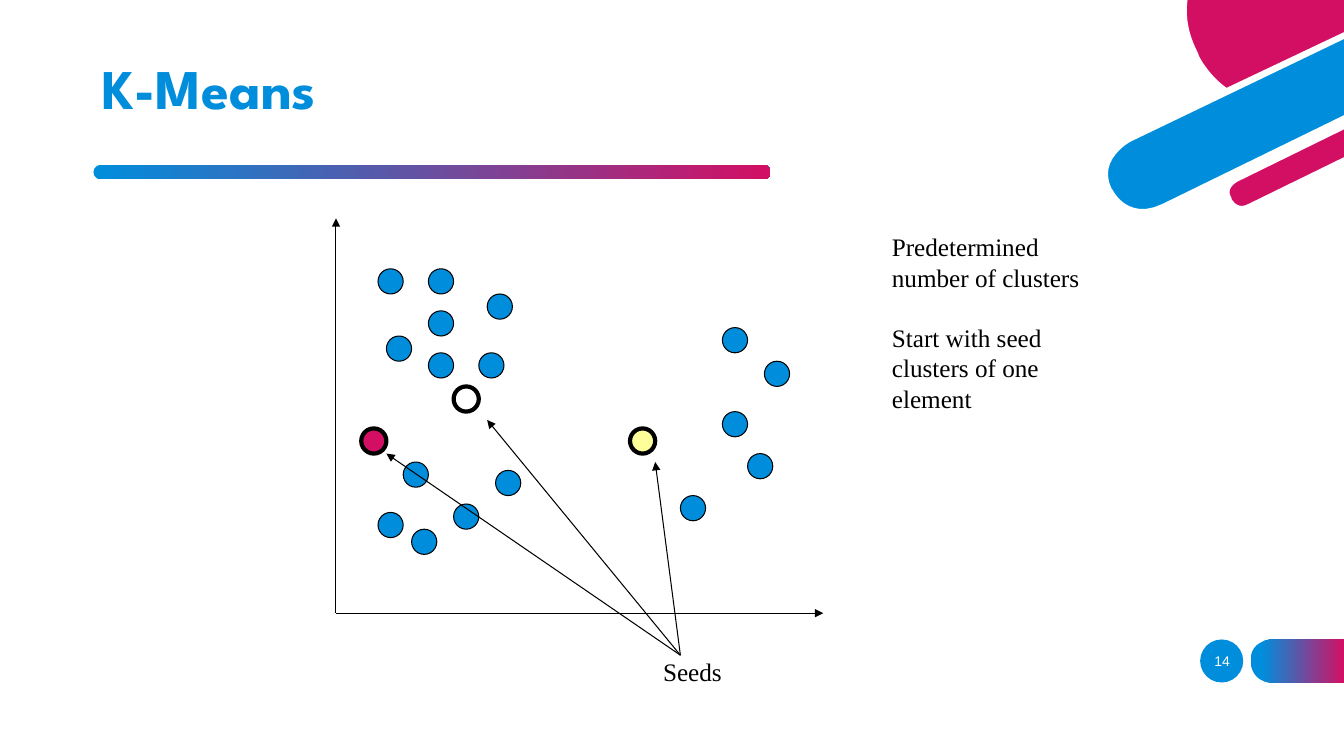
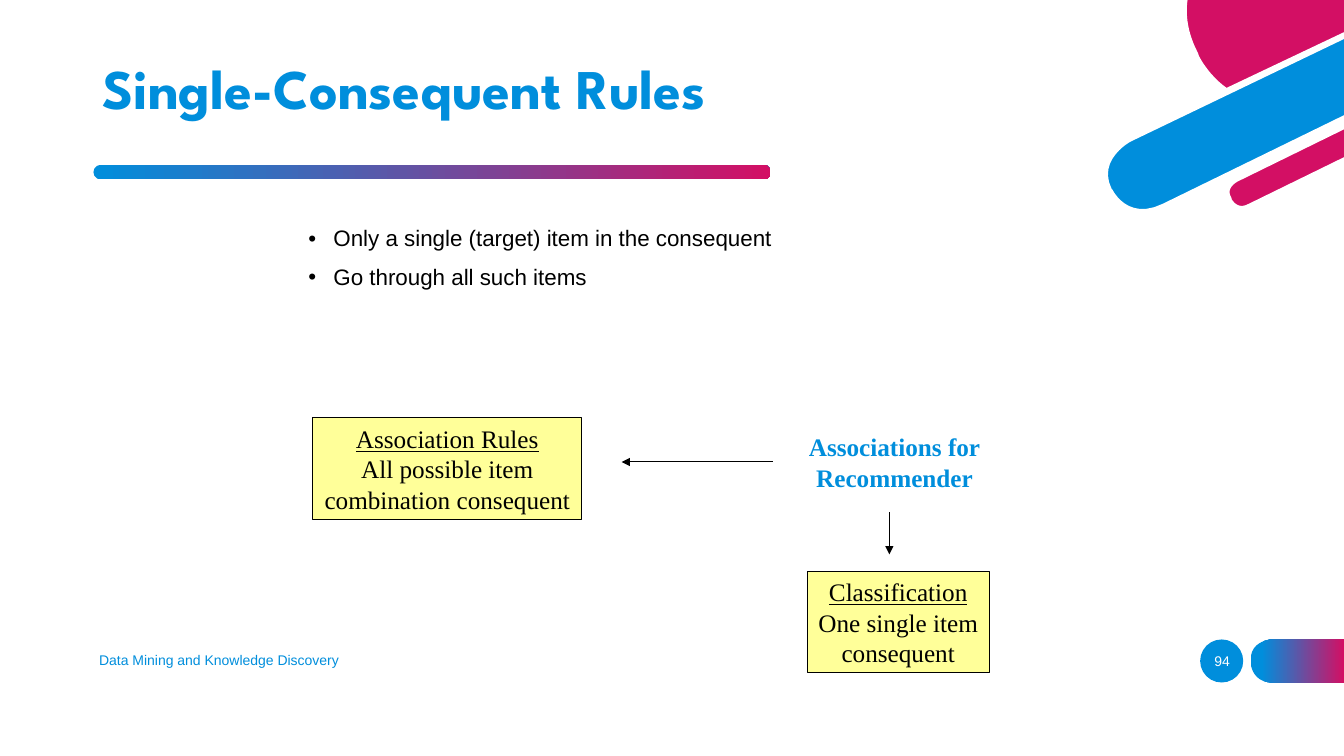
from lxml import etree
from pptx import Presentation
from pptx.dml.color import RGBColor
from pptx.enum.shapes import MSO_CONNECTOR, MSO_SHAPE
from pptx.enum.text import MSO_ANCHOR, MSO_AUTO_SIZE, PP_ALIGN
from pptx.oxml.ns import qn
from pptx.util import Emu, Pt

BLUE = RGBColor(0x00, 0x8E, 0xDC)
MAGENTA = RGBColor(0xD3, 0x0F, 0x64)
YELLOW = RGBColor(0xFF, 0xFF, 0x99)
WHITE = RGBColor(0xFF, 0xFF, 0xFF)
BLACK = RGBColor(0, 0, 0)
SANS, SERIF, DISPLAY = "Arial", "Times New Roman", "League Spartan"

STRAIGHT = MSO_CONNECTOR.STRAIGHT
OVAL, RECTANGLE, PILL = MSO_SHAPE.OVAL, MSO_SHAPE.RECTANGLE, MSO_SHAPE.ROUNDED_RECTANGLE
TOP, MIDDLE = MSO_ANCHOR.TOP, MSO_ANCHOR.MIDDLE
LEFT, CENTER = PP_ALIGN.LEFT, PP_ALIGN.CENTER
NO_AUTOFIT = MSO_AUTO_SIZE.NONE

EMU_PER_PX = 9525
CURVE_STEPS = 12
DOT = 24
TITLE_ONLY, TITLE_AND_CONTENT = 5, 1

# Outlines: a pair is a corner, three pairs are the rest of a Bezier curve.
CORNER_DISC = [(1129, -4), (1129, 0), ((1127, 14), (1129, 32), (1139, 51)), (1140, 54),
               ((1140, 54), (1149, 73), (1168, 86)), (1284, 31), (1284, -4)]
WIDE_BAND = [(1076, 133), ((1076, 133), (1042, 151), (1057, 181)), (1058, 182),
             ((1058, 182), (1073, 213), (1108, 196)), (1284, 110), (1284, 33)]
NARROW_BAND = [(1284, 119), (1178, 171), ((1178, 171), (1164, 178), (1171, 189)), (1171, 190),
               ((1171, 190), (1177, 203), (1190, 196)), (1284, 150)]
NUMBER_TAB = [(1280, 650), (1280, 609), (1212, 609), ((1212, 609), (1191, 609), (1191, 629)),
              (1191, 630), ((1191, 630), (1191, 650), (1212, 650))]

DATA_POINTS = [(360, 488), (432, 480), (384, 440), (392, 504), (472, 448), (648, 472),
               (712, 432), (688, 392), (728, 344), (688, 312), (408, 296), (360, 256),
               (368, 320), (464, 280), (408, 336), (456, 336), (408, 256)]
SEEDS = [((344, 408), MAGENTA), ((432, 368), WHITE), ((600, 408), YELLOW)]
SEED_ARROW_ENDS = [(368, 432), (464, 400), (624, 440)]
SEED_LABEL_POINT = (648, 624)


def px(*lengths):
    return [Emu(round(length * EMU_PER_PX)) for length in lengths]


def paint(shape, fill, line=None, line_width=0.75):
    shape.shadow.inherit = False
    shape.fill.solid()
    shape.fill.fore_color.rgb = fill
    if line is None:
        shape.line.fill.background()
    else:
        shape.line.color.rgb = line
        shape.line.width = Pt(line_width)


def paint_gradient(shape, start=0):
    """Blue to magenta, left to right, with the blue held up to start."""
    shape.shadow.inherit = False
    shape.line.fill.background()
    shape.fill.gradient()
    shape.fill.gradient_angle = 0
    for stop, color, position in zip(shape.fill.gradient_stops, (BLUE, MAGENTA), (start, 1)):
        stop.color.rgb = color
        stop.position = position


def add_preset(slide, preset, box, fill, line=None, line_width=0.75):
    shape = slide.shapes.add_shape(preset, *px(*box))
    paint(shape, fill, line, line_width)
    return shape


def curve_points(start, first, second, end):
    for step in range(1, CURVE_STEPS + 1):
        t = step / CURVE_STEPS
        weights = ((1 - t) ** 3, 3 * t * (1 - t) ** 2, 3 * t * t * (1 - t), t ** 3)
        corners = (start, first, second, end)
        yield tuple(sum(w * c[axis] for w, c in zip(weights, corners)) for axis in (0, 1))


def add_outline(slide, outline):
    points = [outline[0]]
    for item in outline[1:]:
        points.extend(curve_points(points[-1], *item) if len(item) == 3 else [item])
    builder = slide.shapes.build_freeform(*px(*points[0]), scale=1.0)
    builder.add_line_segments([px(*point) for point in points[1:]], close=True)
    return builder.convert_to_shape()


def add_arrow(slide, start, end):
    connector = slide.shapes.add_connector(STRAIGHT, *px(*start, *end))
    connector.line.color.rgb = BLACK
    connector.line.width = Pt(0.75)
    properties = connector.element.spPr
    etree.SubElement(properties.find(qn("a:ln")), qn("a:tailEnd"), type="triangle")
    etree.SubElement(properties, qn("a:effectLst"))


def write(shape, lines, font, size, color, align=LEFT, anchor=TOP, bold=False, wrap=True):
    """Fill the shape with one paragraph per line and return the paragraphs."""
    frame = shape.text_frame
    frame.text = "\n".join(lines)
    frame.word_wrap = wrap
    frame.auto_size = NO_AUTOFIT
    frame.vertical_anchor = anchor
    for paragraph in frame.paragraphs:
        paragraph.alignment = align
        paragraph.font.name = font
        paragraph.font.size = Pt(size)
        paragraph.font.bold = bold
        paragraph.font.color.rgb = color
    return frame.paragraphs


def add_text(slide, box, lines, font=SERIF, size=18, color=BLACK, **style):
    return write(slide.shapes.add_textbox(*px(*box)), lines, font, size, color, **style)


def add_rule_box(slide, box, lines):
    """Yellow box whose first line is an underlined heading."""
    shape = add_preset(slide, RECTANGLE, box, YELLOW, BLACK)
    paragraphs = write(shape, lines, SERIF, 18, BLACK, CENTER, MIDDLE, wrap=False)
    paragraphs[0].font.underline = True


def place(placeholder, *box):
    placeholder.left, placeholder.top, placeholder.width, placeholder.height = px(*box)


def add_decorations(slide, number):
    for outline, color in ((CORNER_DISC, MAGENTA), (WIDE_BAND, BLUE), (NARROW_BAND, MAGENTA)):
        paint(add_outline(slide, outline), color, WHITE, 3)
    title_bar = slide.shapes.add_shape(PILL, *px(89, 157, 645, 14))
    title_bar.adjustments[0] = 0.5
    paint_gradient(title_bar)
    paint_gradient(add_outline(slide, NUMBER_TAB), 0.12)
    add_preset(slide, OVAL, (1143, 609, 41, 41), BLUE)
    add_text(slide, (1135, 610, 58, 39), [str(number)], SANS, 10, WHITE,
             align=CENTER, anchor=MIDDLE)


def add_titled_slide(presentation, layout, title, number):
    slide = presentation.slides.add_slide(presentation.slide_layouts[layout])
    place(slide.shapes.title, 88, 38, 950, 99)
    paragraphs = write(slide.shapes.title, [title], DISPLAY, 40, BLUE, anchor=MIDDLE, bold=True)
    paragraphs[0].line_spacing = 0.9
    add_decorations(slide, number)
    return slide


def add_k_means_slide(presentation):
    slide = add_titled_slide(presentation, TITLE_ONLY, "K-Means", 14)
    origin = (320, 584)
    for axis_end in ((320, 208), (784, 584)):
        add_arrow(slide, origin, axis_end)
    for point in DATA_POINTS:
        add_preset(slide, OVAL, (*point, DOT, DOT), BLUE, BLACK)
    for point, color in SEEDS:
        add_preset(slide, OVAL, (*point, DOT, DOT), color, BLACK, 3)
    for end in SEED_ARROW_ENDS:
        add_arrow(slide, SEED_LABEL_POINT, end)
    add_text(slide, (622, 620, 80, 38), ["Seeds"])
    notes = add_text(slide, (840, 216, 204, 184),
                     ["Predetermined number of clusters", "Start with seed clusters of one element"])
    notes[1].space_before = Pt(21.6)


def add_rules_slide(presentation):
    slide = add_titled_slide(presentation, TITLE_AND_CONTENT, "Single-Consequent Rules", 94)
    body = slide.placeholders[1]
    place(body, 284, 212, 816, 191)
    bullets = write(body, ["Only a single (target) item in the consequent",
                           "Go through all such items"], SANS, 16, BLACK)
    for index, paragraph in enumerate(bullets):
        properties = paragraph._p.get_or_add_pPr()
        properties.set("marL", str(24 * EMU_PER_PX))
        properties.set("indent", str(-24 * EMU_PER_PX))
        paragraph.line_spacing = 0.9
        paragraph.space_before = Pt(10 if index else 0)
    add_rule_box(slide, (769, 544, 173, 97),
                 ["Classification", "One single item", "consequent"])
    add_rule_box(slide, (298, 398, 256, 97),
                 ["Association Rules", "All possible item", "combination consequent"])
    add_arrow(slide, (847, 488), (847, 528))
    add_arrow(slide, (736, 440), (592, 440))
    add_text(slide, (757, 406, 190, 68), ["Associations for", "Recommender"], color=BLUE,
             align=CENTER, anchor=MIDDLE, bold=True)
    add_text(slide, (85, 609, 432, 38), ["Data Mining and Knowledge Discovery"], SANS, 10, BLUE,
             anchor=MIDDLE)


def main():
    presentation = Presentation()
    presentation.slide_width, presentation.slide_height = px(1280, 720)
    add_k_means_slide(presentation)
    add_rules_slide(presentation)
    presentation.save("out.pptx")


if __name__ == "__main__":
    main()
